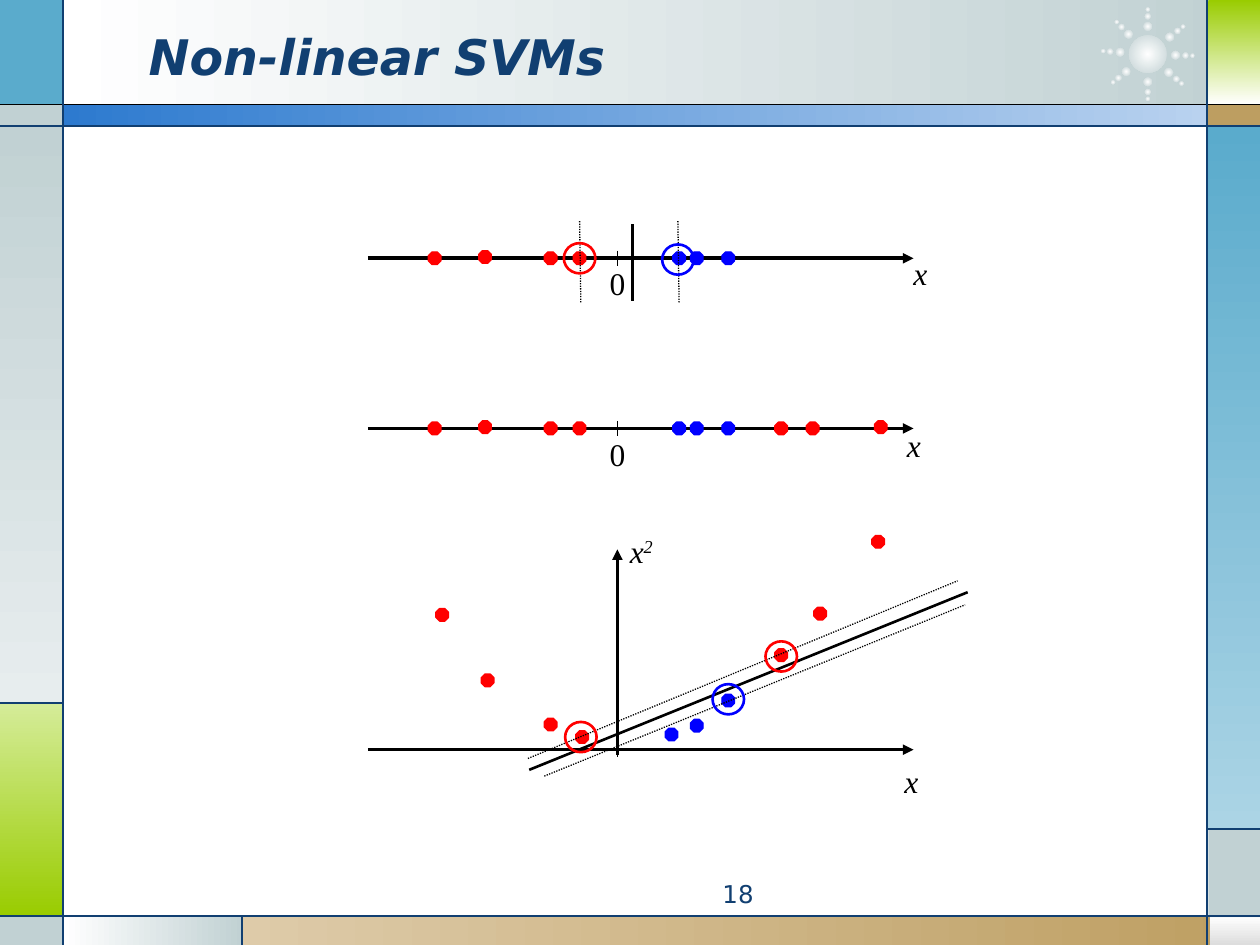
from dataclasses import dataclass
from math import cos, radians, sin

from lxml import etree
from pptx import Presentation
from pptx.dml.color import RGBColor
from pptx.enum import dml, shapes as kinds, text
from pptx.oxml.ns import qn
from pptx.util import Inches, Pt


@dataclass(frozen=True)
class Theme:
    navy: str = "113F71"
    black: str = "000000"
    red: str = "FF0000"
    blue: str = "0000FF"
    white: str = "FFFFFF"
    mist: str = "C1D1D3"
    sky: str = "5AABCC"
    tan: str = "BD9E61"
    lime: str = "99CC00"
    sans: str = "DejaVu Sans"
    serif: str = "Times New Roman"
    head: int = 28
    page: int = 14
    label: int = 18


@dataclass(frozen=True)
class Panel:
    box: tuple
    tones: tuple
    angle: int = 0


@dataclass(frozen=True)
class Line:
    start: tuple
    end: tuple
    width: float = 0.75
    color: str = "000000"
    arrow: bool = False
    dotted: bool = False


@dataclass(frozen=True)
class Label:
    box: tuple
    words: str
    power: str = ""
    italic: bool = True


@dataclass(frozen=True)
class Plot:
    """Dots and rings are (x, rise from the axis)."""
    axis: float
    reds: tuple
    blues: tuple
    labels: tuple
    lines: tuple = ()
    red_rings: tuple = ()
    blue_rings: tuple = ()


T = Theme()
OVAL, RECT, OCTAGON = (kinds.MSO_SHAPE.OVAL, kinds.MSO_SHAPE.RECTANGLE,
                       kinds.MSO_SHAPE.OCTAGON)
DOWN = 270  # counter-clockwise degrees

PANELS = (
    Panel((0.5, 0, 9.27, 0.84), (T.white, T.mist)),
    Panel((0, 0, 0.5, 0.84), (T.sky,)),
    Panel((0, 0.83, 0.5, 0.17), (T.mist,)),
    Panel((0, 1, 0.5, 4.58), (T.mist, "E7EDEE"), DOWN),
    Panel((0, 5.58, 0.5, 1.69), ("D5EC99", T.lime), DOWN),
    Panel((0, 7.27, 0.5, 0.23), (T.mist,)),
    Panel((0.5, 7.27, 1.43, 0.23), (T.white, T.mist)),
    Panel((1.92, 7.27, 8.08, 0.23), ("DECBA9", T.tan)),
    Panel((9.6, 7.27, 0.4, 0.23), (T.white, "DDDDDD"), DOWN),
    Panel((9.59, 6.58, 0.41, 0.7), (T.mist,)),
    Panel((9.58, 1, 0.42, 5.58), (T.sky, "ABD4E5"), DOWN),
    Panel((9.58, 0.83, 0.42, 0.17), (T.tan,)),
    Panel((9.59, 0, 0.41, 0.83), (T.lime, T.white), DOWN),
    Panel((0.5, 0.83, 9.09, 0.17), ("2D7ACF", "B9D2EF")),
)
RULES = (
    ((0, 1), (10, 1)), ((0, 7.27), (10, 7.27)),
    ((0.5, 0), (0.5, 7.5)), ((9.58, 0), (9.58, 7.5)),
    ((0.5, 5.58), (0, 5.58)), ((1.92, 7.27), (1.92, 7.5)),
    ((9.58, 6.58), (10, 6.58)),
)
BURST = (9.11, 0.43)
RAYS = (2, 41, 90, 141, 184, 226, 270, 322)
BEADS = ((0.22, 0.07), (0.3, 0.05), (0.355, 0.035))  # reach, size

ORIGIN = 4.9
LEFT = ((3.45, 0), (3.85, 0.01), (4.37, 0), (4.6, 0))
MID = ((5.39, 0), (5.53, 0), (5.78, 0))
RIGHT = ((6.2, 0), (6.45, 0), (6.99, 0.01))
PLOTS = (
    Plot(2.05, LEFT, MID,
         (Label((4.74, 2.05, 0.38, 0.4), "0", italic=False),
          Label((7.15, 1.97, 0.5, 0.4), "x")),
         (Line((5.02, 1.78), (5.02, 2.39), 1.5),
          Line((5.39, 2.4), (5.38, 1.75), dotted=True),
          Line((4.61, 2.4), (4.6, 1.75), dotted=True)),
         ((4.6, 0),), ((5.38, -0.01),)),
    Plot(3.4, LEFT + RIGHT, MID,
         (Label((4.74, 3.4, 0.38, 0.4), "0", italic=False),
          Label((7.1, 3.33, 0.5, 0.4), "x"))),
    Plot(5.95,
         ((3.51, 1.07), (3.87, 0.55), (4.37, 0.2), (4.62, 0.1),
          (6.2, 0.75), (6.51, 1.08), (6.97, 1.65)),
         ((5.33, 0.12), (5.53, 0.19), (5.78, 0.39)),
         (Label((4.9, 4.17, 0.5, 0.4), "x", "2"),
          Label((7.08, 6, 0.5, 0.4), "x")),
         (Line((ORIGIN, 5.99), (ORIGIN, 4.36), 2, arrow=True),
          Line((4.2, 6.11), (7.68, 4.7), 1.5),
          Line((4.19, 6.02), (7.6, 4.61), dotted=True),
          Line((4.32, 6.16), (7.66, 4.8), dotted=True)),
         ((4.61, 0.1), (6.2, 0.74)), ((5.78, 0.4),)),
)


def rgb(tone: str) -> RGBColor:
    return RGBColor.from_string(tone)


def add_shape(shapes, kind, box: tuple, tones: tuple = (),
              edge: str = "", width: float = 0.75, angle: int = 0):
    """No tones leave the shape hollow, one is solid, two make a gradient."""
    shape = shapes.add_shape(kind, *map(Inches, box))
    shape.shadow.inherit = False
    if len(tones) == 2:
        shape.fill.gradient()
        shape.fill.gradient_angle = angle
        for stop, tone in zip(shape.fill.gradient_stops, tones):
            stop.color.rgb = rgb(tone)
    elif tones:
        shape.fill.solid()
        shape.fill.fore_color.rgb = rgb(tones[0])
    else:
        shape.fill.background()
    if edge:
        shape.line.color.rgb = rgb(edge)
        shape.line.width = Pt(width)
    else:
        shape.line.fill.background()
    return shape


def add_line(shapes, line: Line) -> None:
    link = shapes.add_connector(kinds.MSO_CONNECTOR.STRAIGHT,
                                *map(Inches, line.start + line.end))
    link.line.color.rgb = rgb(line.color)
    link.line.width = Pt(line.width)
    if line.dotted:
        link.line.dash_style = dml.MSO_LINE.ROUND_DOT
    if line.arrow:
        etree.SubElement(link.line._get_or_add_ln(), qn("a:tailEnd"), type="triangle")
    etree.SubElement(link.element.spPr, qn("a:effectLst"))


def style(run, size: int, face: str, tone: str, bold=False, italic=False) -> None:
    font = run.font
    font.size, font.name, font.bold, font.italic = Pt(size), face, bold, italic
    font.color.rgb = rgb(tone)


def add_label(shapes, label: Label) -> None:
    frame = shapes.add_textbox(*map(Inches, label.box)).text_frame
    frame.word_wrap = True
    para = frame.paragraphs[0]
    para.text = label.words
    if label.power:
        run = para.add_run()
        run.text = label.power
        run._r.get_or_add_rPr().set("baseline", "30000")
    for run in para.runs:
        style(run, T.label, T.serif, T.black, italic=label.italic)


def centre(x: float, y: float, wide: float, high: float) -> tuple:
    return x - wide / 2, y - high / 2, wide, high


def add_glow(shapes, x: float, y: float, size: float) -> None:
    """A disc that fades outward from its middle."""
    disc = add_shape(shapes, OVAL, centre(x, y, size, size), (T.white, T.mist))
    grad = disc.element.spPr.find(qn("a:gradFill"))
    grad.remove(grad.find(qn("a:lin")))
    path = etree.SubElement(grad, qn("a:path"), {"path": "circle"})
    etree.SubElement(path, qn("a:fillToRect"),
                     {side: "50000" for side in "ltrb"})


def add_frame(shapes) -> None:
    for panel in PANELS:
        add_shape(shapes, RECT, panel.box, panel.tones, angle=panel.angle)
    burst = shapes.add_group_shape().shapes
    x, y = BURST
    add_glow(burst, x, y, 0.3)
    for ray in map(radians, RAYS):
        for reach, size in BEADS:
            add_glow(burst, x + reach * cos(ray), y + reach * sin(ray), size)
    add_line(shapes, Line((0, 0.83), (10, 0.83)))
    for start, end in RULES:
        add_line(shapes, Line(start, end, color=T.navy))


def add_plot(shapes, plot: Plot) -> None:
    base = plot.axis
    add_line(shapes, Line((2.92, base), (7.25, base), 2, arrow=True))
    add_line(shapes, Line((ORIGIN, base - 0.06), (ORIGIN, base + 0.06)))
    for tone, dots in ((T.red, plot.reds), (T.blue, plot.blues)):
        for x, rise in dots:
            add_shape(shapes, OCTAGON, centre(x, base - rise, 0.1, 0.1), (tone,), tone)
    for line in plot.lines:
        add_line(shapes, line)
    for tone, rings in ((T.red, plot.red_rings), (T.blue, plot.blue_rings)):
        for x, rise in rings:
            add_shape(shapes, OVAL, centre(x, base - rise, 0.25, 0.24), edge=tone, width=1.5)
    for label in plot.labels:
        add_label(shapes, label)


def add_title(slide) -> None:
    title = slide.shapes.title
    title.left, title.top, title.width, title.height = map(Inches, (1.08, 0.13, 7.33, 0.62))
    frame = title.text_frame
    frame.text = "Non-linear SVMs"
    frame.vertical_anchor = text.MSO_ANCHOR.MIDDLE
    para = frame.paragraphs[0]
    para.alignment = text.PP_ALIGN.LEFT
    style(para.runs[0], T.head, T.sans, T.navy, bold=True, italic=True)
    title.element.getparent().append(title.element)  # bring to front


def add_page(shapes) -> None:
    frame = shapes.add_textbox(*map(Inches, (3.75, 6.93, 2.33, 0.27))).text_frame
    frame.word_wrap = True
    frame.vertical_anchor = text.MSO_ANCHOR.TOP
    para = frame.paragraphs[0]
    para.text = "18"
    para.alignment = text.PP_ALIGN.RIGHT
    style(para.runs[0], T.page, T.sans, T.navy)


def main() -> None:
    deck = Presentation()
    deck.slide_width, deck.slide_height = Inches(10), Inches(7.5)
    slide = deck.slides.add_slide(deck.slide_layouts[5])
    add_frame(slide.shapes)
    add_title(slide)
    add_page(slide.shapes)
    for plot in PLOTS:
        add_plot(slide.shapes.add_group_shape().shapes, plot)
    deck.save("out.pptx")


if __name__ == "__main__":
    main()
